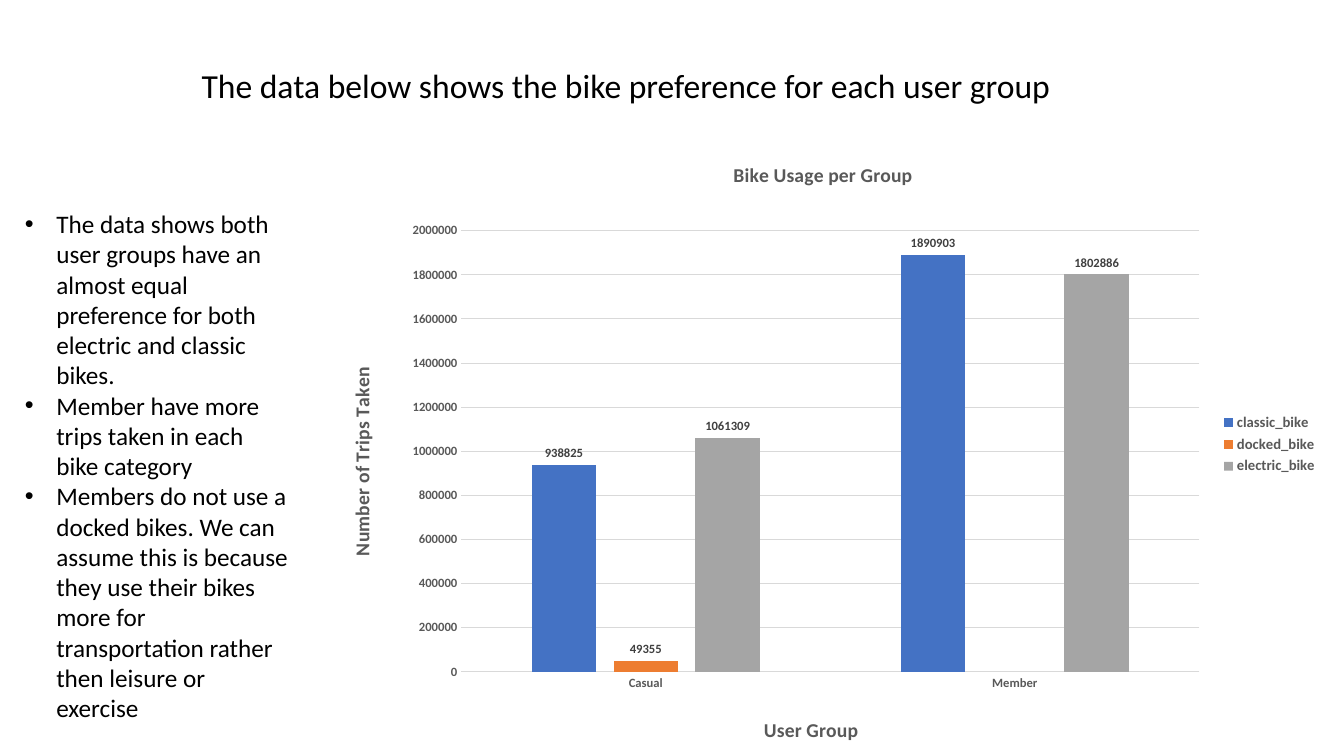
from dataclasses import dataclass

from lxml import etree
from pptx import Presentation
from pptx.chart.data import CategoryChartData
from pptx.dml.color import RGBColor
from pptx.enum.chart import XL_CHART_TYPE, XL_LABEL_POSITION, XL_LEGEND_POSITION, XL_TICK_MARK
from pptx.enum.text import MSO_AUTO_SIZE
from pptx.oxml.ns import qn
from pptx.util import Cm, Pt

CLUSTERED = XL_CHART_TYPE.COLUMN_CLUSTERED
OUTSIDE_END = XL_LABEL_POSITION.OUTSIDE_END
LEGEND_RIGHT = XL_LEGEND_POSITION.RIGHT
NO_TICK = XL_TICK_MARK.NONE
GROW = MSO_AUTO_SIZE.SHAPE_TO_FIT_TEXT


@dataclass(frozen=True)
class Theme:
    font: str = "Calibri"
    text: str = "000000"
    muted: str = "595959"
    label: str = "404040"
    grid: str = "D9D9D9"
    headline_size: float = 24
    body_size: float = 18
    title_size: float = 14
    legend_size: float = 10.5
    tick_size: float = 9
    grid_width: float = 0.75


@dataclass(frozen=True)
class Box:
    left: float
    top: float
    width: float
    height: float


@dataclass(frozen=True)
class BikeSeries:
    name: str
    trips: tuple
    color: str


@dataclass(frozen=True)
class TextBlock:
    box: Box
    lines: tuple
    size: float
    bulleted: bool = False


THEME = Theme()
USER_GROUPS = ("Casual", "Member")
BIKES = (
    BikeSeries("classic_bike", (938825, 1890903), "4472C4"),
    BikeSeries("docked_bike", (49355, None), "ED7D31"),
    BikeSeries("electric_bike", (1061309, 1802886), "A5A5A5"),
)
CHART_BOX = Box(7.92, 3.35, 25.55, 15.7)
TEXT_BLOCKS = (
    TextBlock(
        Box(4.83, 1.5, 27.89, 1.27),
        ("The data below shows the bike preference for each user group",),
        THEME.headline_size,
    ),
    TextBlock(
        Box(0.38, 5.13, 7.19, 13.34),
        (
            "The data shows both user groups have an almost equal preference "
            "for both electric and classic bikes.",
            "Member have more trips taken in each bike category",
            "Members do not use a docked bikes. We can assume this is because they "
            "use their bikes more for transportation rather then leisure or exercise",
        ),
        THEME.body_size,
        bulleted=True,
    ),
)


def style_font(font, size: float, color: str, bold: bool = False) -> None:
    """Apply the theme face with a size, colour and weight."""
    font.name = THEME.font
    font.size = Pt(size)
    font.bold = bold
    font.color.rgb = RGBColor.from_string(color)


def style_line(line) -> None:
    """Draw a line in the grid colour and width."""
    line.color.rgb = RGBColor.from_string(THEME.grid)
    line.width = Pt(THEME.grid_width)


def add_bullet(paragraph) -> None:
    """Give a paragraph a round bullet with a hanging indent."""
    properties = paragraph._p.get_or_add_pPr()
    properties.set("marL", str(Cm(0.79)))
    properties.set("indent", str(-Cm(0.79)))
    etree.SubElement(properties, qn("a:buFont")).set("typeface", "Arial")
    etree.SubElement(properties, qn("a:buChar")).set("char", "•")


def add_text(slide, block: TextBlock) -> None:
    """Add a wrapped text box with one paragraph per line."""
    box = block.box
    frame = slide.shapes.add_textbox(
        Cm(box.left), Cm(box.top), Cm(box.width), Cm(box.height)
    ).text_frame
    frame.word_wrap = True
    frame.auto_size = GROW
    frame.text = "\n".join(block.lines)
    for paragraph in frame.paragraphs:
        style_font(paragraph.runs[0].font, block.size, THEME.text)
        if block.bulleted:
            add_bullet(paragraph)


def place(parent, index: int, **fractions: float) -> None:
    """Fix a chart part at fractions of the chart area."""
    for previous in parent.findall(qn("c:layout")):
        parent.remove(previous)
    layout = etree.Element(qn("c:layout"))
    manual = etree.SubElement(layout, qn("c:manualLayout"))
    if "w" in fractions:
        etree.SubElement(manual, qn("c:layoutTarget")).set("val", "inner")
    for side in ("x", "y"):
        etree.SubElement(manual, qn(f"c:{side}Mode")).set("val", "edge")
    for side, fraction in fractions.items():
        etree.SubElement(manual, qn(f"c:{side}")).set("val", str(fraction))
    parent.insert(index, layout)


def set_title(title, text: str) -> None:
    """Write a chart or axis title in the title style."""
    title.text_frame.text = text
    style_font(title.text_frame.paragraphs[0].runs[0].font, THEME.title_size, THEME.muted, True)


def style_axis(axis, title: str) -> None:
    """Style an axis with its title and tick labels."""
    axis.major_tick_mark = axis.minor_tick_mark = NO_TICK
    style_font(axis.tick_labels.font, THEME.tick_size, THEME.muted, True)
    set_title(axis.axis_title, title)


def add_usage_chart(slide) -> None:
    """Add the clustered column chart of trips per user group."""
    usage = CategoryChartData()
    usage.categories = USER_GROUPS
    for bike in BIKES:
        usage.add_series(bike.name, bike.trips)
    box = CHART_BOX
    chart = slide.shapes.add_chart(
        CLUSTERED, Cm(box.left), Cm(box.top), Cm(box.width), Cm(box.height), usage
    ).chart
    style_font(chart.font, 10, THEME.text, True)
    set_title(chart.chart_title, "Bike Usage per Group")

    groups, trips = chart.category_axis, chart.value_axis
    style_axis(groups, "User Group")
    style_axis(trips, "Number of Trips Taken")
    style_line(groups.format.line)
    trips.format.line.fill.background()
    style_line(trips.major_gridlines.format.line)
    trips.minimum_scale, trips.maximum_scale, trips.major_unit = 0, 2000000, 200000

    chart.has_legend = True
    chart.legend.position = LEGEND_RIGHT
    chart.legend.include_in_layout = False
    style_font(chart.legend.font, THEME.legend_size, THEME.muted, True)

    plot = chart.plots[0]
    plot.vary_by_categories = False
    plot.gap_width, plot.overlap = 219, -27
    for series, bike in zip(plot.series, BIKES):
        series.format.fill.solid()
        series.format.fill.fore_color.rgb = RGBColor.from_string(bike.color)
        labels = series.data_labels
        labels.show_value = True
        labels.position = OUTSIDE_END
        style_font(labels.font, THEME.tick_size, THEME.label, True)

    heading, group_title, trips_title = chart.element.xpath(".//c:title")
    place(heading, 1, x=0.41, y=0.04)
    place(group_title, 1, x=0.44, y=0.93)
    place(trips_title, 1, x=0.03, y=0.37)
    trips_title.find(".//" + qn("a:bodyPr")).set("rot", "-5400000")
    place(chart.element.xpath(".//c:plotArea")[0], 0, x=0.145, y=0.157, w=0.728, h=0.708)


def main() -> None:
    """Build and save the bike preference slide."""
    deck = Presentation()
    deck.slide_width, deck.slide_height = Cm(33.87), Cm(19.05)
    slide = deck.slides.add_slide(deck.slide_layouts[6])
    add_usage_chart(slide)
    for block in TEXT_BLOCKS:
        add_text(slide, block)
    deck.save("out.pptx")


if __name__ == "__main__":
    main()
